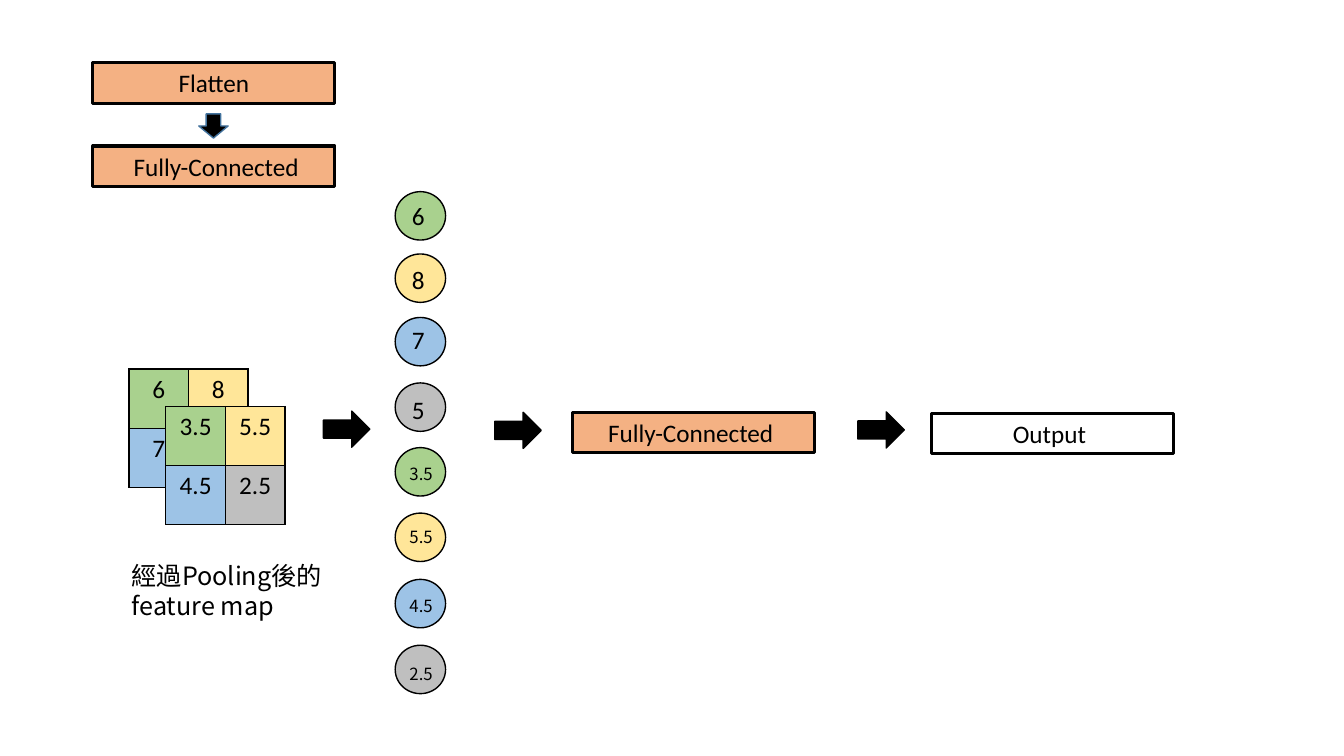
from lxml.etree import SubElement
from pptx import Presentation
from pptx.dml.color import RGBColor
from pptx.enum.shapes import MSO_SHAPE
from pptx.enum.text import PP_ALIGN
from pptx.oxml.ns import qn
from pptx.util import Cm, Pt

COLORS = {
    "black": "000000",
    "white": "FFFFFF",
    "orange": "F4B183",
    "green": "A9D18E",
    "yellow": "FFE699",
    "blue": "9DC3E6",
    "gray": "BFBFBF",
    "outline": "43739E",
}
CELL_COLORS = ["green", "yellow", "blue", "gray"]
LATIN = "Calibri"
CJK = "Noto Sans CJK JP"


class Diagram:
    def __init__(self, deck):
        self.page = deck.slides.add_slide(deck.slide_layouts[6])

    def color(self, name):
        return RGBColor.from_string(COLORS[name])

    def style(self, paragraph, size, font, align):
        paragraph.alignment = align
        paragraph.font.size = Pt(size)
        paragraph.font.name = font
        paragraph.font.color.rgb = self.color("black")
        defaults = paragraph._p.pPr.find(qn("a:defRPr"))
        SubElement(defaults, qn("a:ea")).set("typeface", font)

    def shape(self, kind, left, top, width, height, fill, line="black", weight=1):
        shape = self.page.shapes.add_shape(kind, Cm(left), Cm(top), Cm(width), Cm(height))
        shape.shadow.inherit = False
        shape.fill.solid()
        shape.fill.fore_color.rgb = self.color(fill)
        shape.line.color.rgb = self.color(line)
        shape.line.width = Pt(weight)

    def text(self, words, left, top, width, height, size=18, font=LATIN, align=PP_ALIGN.LEFT):
        box = self.page.shapes.add_textbox(Cm(left), Cm(top), Cm(width), Cm(height))
        box.text_frame.word_wrap = True
        paragraph = box.text_frame.paragraphs[0]
        paragraph.text = words
        self.style(paragraph, size, font, align)

    def layer(self, words, left, top, fill="orange", shift=0.27):
        self.shape(MSO_SHAPE.RECTANGLE, left, top, 6.1, 1.02, fill, weight=2.25)
        self.text(words, left + shift, top, 5.56, 1.02, align=PP_ALIGN.CENTER)

    def arrow(self, left, top):
        self.shape(MSO_SHAPE.RIGHT_ARROW, left, top, 1.17, 0.91, "black")

    def neuron(self, value, color, top, text_top):
        self.shape(MSO_SHAPE.OVAL, 9.96, top, 1.27, 1.22, color)
        if "." in value:
            self.text(value, 10.07, text_top, 1.15, 0.76, 12, CJK)
        else:
            self.text(value, 10.13, text_top, 0.94, 1.02)

    def border(self, cell):
        properties = cell._tc.get_or_add_tcPr()
        for position, side in enumerate(["lnL", "lnR", "lnT", "lnB"]):
            line = properties.makeelement(qn(f"a:{side}"), {"w": str(Pt(1))})
            fill = SubElement(line, qn("a:solidFill"))
            SubElement(fill, qn("a:srgbClr")).set("val", COLORS["black"])
            properties.insert(position, line)

    def feature_map(self, values, left, top):
        frame = self.page.shapes.add_table(2, 2, Cm(left), Cm(top), Cm(3.0), Cm(2.98))
        table = frame.table
        for column in table.columns:
            column.width = Cm(1.5)
        for row in table.rows:
            row.height = Cm(1.49)
        for cell, value, color in zip(table.iter_cells(), values, CELL_COLORS):
            cell.text = value
            self.style(cell.text_frame.paragraphs[0], 18, LATIN, PP_ALIGN.CENTER)
            cell.fill.solid()
            cell.fill.fore_color.rgb = self.color(color)
            self.border(cell)


def main():
    deck = Presentation()
    deck.slide_width = Cm(33.87)
    deck.slide_height = Cm(19.05)
    diagram = Diagram(deck)

    diagram.layer("Flatten", 2.34, 1.58)
    diagram.shape(MSO_SHAPE.DOWN_ARROW, 5.01, 2.87, 0.74, 0.61, "black", "outline")
    diagram.layer("Fully-Connected ", 2.34, 3.68, shift=0.4)

    first_map = ["6", "8", "7", "5"]
    second_map = ["3.5", "5.5", "4.5", "2.5"]
    diagram.feature_map(first_map, 3.25, 9.3)
    diagram.feature_map(second_map, 4.18, 10.24)
    diagram.text("經過Pooling後的feature map", 3.07, 14.0, 5.33, 1.8, font=CJK)

    tops = [4.83, 6.4, 8.0, 9.65, 11.28, 12.93, 14.6, 16.26]
    text_tops = [4.93, 6.53, 8.05, 9.8, 11.56, 13.16, 14.88, 16.59]
    for neuron in zip(first_map + second_map, CELL_COLORS * 2, tops, text_tops):
        diagram.neuron(*neuron)

    diagram.arrow(8.15, 10.36)
    diagram.arrow(12.47, 10.39)
    diagram.layer("Fully-Connected ", 14.43, 10.39)
    diagram.arrow(21.62, 10.38)
    diagram.layer("Output ", 23.47, 10.41, "white")

    deck.save("out.pptx")


if __name__ == "__main__":
    main()
